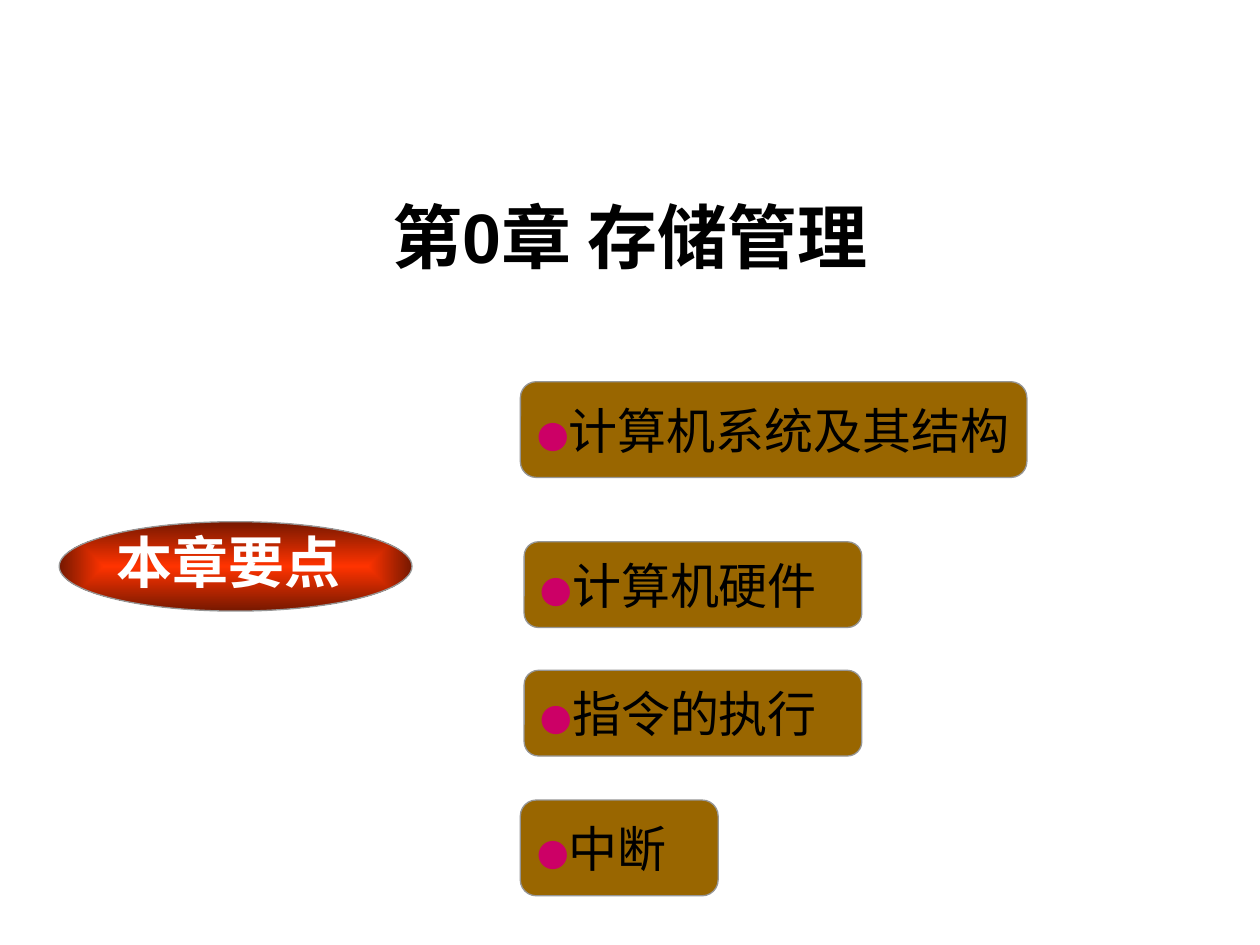
from lxml import etree
from pptx import Presentation
from pptx.dml.color import RGBColor
from pptx.enum.shapes import MSO_SHAPE
from pptx.enum.text import MSO_ANCHOR, PP_ALIGN
from pptx.oxml.ns import qn
from pptx.util import Inches, Pt

OVAL, ROUNDED = MSO_SHAPE.OVAL, MSO_SHAPE.ROUNDED_RECTANGLE
TOP, MIDDLE, BOTTOM = MSO_ANCHOR.TOP, MSO_ANCHOR.MIDDLE, MSO_ANCHOR.BOTTOM
LEFT, CENTER = PP_ALIGN.LEFT, PP_ALIGN.CENTER

# Content: text and box (left, top, width, height)
TITLE = ("第0章 存储管理", (0.75, 1, 8.5, 1.25))
BADGE = ("本章要点", (0.83, 4.14, 2.22, 0.64))
BADGE_OVAL = (0.47, 4.14, 2.8, 0.71)
TOPICS = [
    ("计算机系统及其结构", (4.13, 3.03, 4.02, 0.76)),
    ("计算机硬件", (4.16, 4.3, 2.68, 0.68)),
    ("指令的执行", (4.16, 5.32, 2.68, 0.68)),
    ("中断", (4.13, 6.35, 1.57, 0.76)),
]

THEME = {
    "outline": "969696",
    "topic_fill": "996600",
    "badge_stops": ("FF3300", "761800"),
    "title": {"size": 40, "name": "Arial", "color": "000000", "bold": True},
    "badge": {"size": 32, "name": "Times New Roman", "color": "FFFFFF", "bold": True},
    "dot": {"size": 18, "name": "Times New Roman", "color": "CC0066", "bold": False},
    "topic": {"size": 28, "name": "Times New Roman", "color": "000000", "bold": False},
}


def write(shape, runs, align=LEFT, anchor=TOP, right_inset=0.1):
    frame = shape.text_frame
    layout = {
        "word_wrap": True, "vertical_anchor": anchor,
        "margin_left": Inches(0.1), "margin_right": Inches(right_inset),
        "margin_top": Inches(0.05), "margin_bottom": Inches(0.05),
    }
    for key, value in layout.items():
        setattr(frame, key, value)
    paragraph = frame.paragraphs[0]
    paragraph.alignment = align
    for text, style in runs:
        run = paragraph.add_run()
        run.text = text
        font = {"size": Pt(THEME[style]["size"]), "name": THEME[style]["name"],
                "bold": THEME[style]["bold"]}
        for key, value in font.items():
            setattr(run.font, key, value)
        run.font.color.rgb = RGBColor.from_string(THEME[style]["color"])


def add_outlined(slide, kind, box):
    shape = slide.shapes.add_shape(kind, *map(Inches, box))
    shape.shadow.inherit = False
    shape.line.color.rgb = RGBColor.from_string(THEME["outline"])
    shape.line.width = Pt(0.75)
    return shape


def fill_from_center(shape, colors):
    shape.fill.gradient()
    for stop, color in zip(shape.fill.gradient_stops, colors):
        stop.color.rgb = RGBColor.from_string(color)
    gradient = shape.fill._xPr.find(qn("a:gradFill"))
    gradient.remove(gradient.find(qn("a:lin")))
    center = etree.SubElement(gradient, qn("a:path"), path="rect")
    etree.SubElement(center, qn("a:fillToRect"),
                     {side: "50000" for side in "ltrb"})


def main():
    deck = Presentation()
    deck.slide_width, deck.slide_height = Inches(10), Inches(7.5)
    slide = deck.slides.add_slide(deck.slide_layouts[6])

    # Chapter title
    text, box = TITLE
    title = slide.shapes.add_textbox(*map(Inches, box))
    write(title, [(text, "title")], CENTER, BOTTOM)

    # Key-points badge
    oval = add_outlined(slide, OVAL, BADGE_OVAL)
    fill_from_center(oval, THEME["badge_stops"])
    text, box = BADGE
    badge = slide.shapes.add_textbox(*map(Inches, box))
    write(badge, [(text, "badge")])

    # Topics
    for text, box in TOPICS:
        topic = add_outlined(slide, ROUNDED, box)
        topic.fill.solid()
        topic.fill.fore_color.rgb = RGBColor.from_string(THEME["topic_fill"])
        write(topic, [("●", "dot"), (text, "topic")], anchor=MIDDLE, right_inset=0)

    deck.save("out.pptx")


if __name__ == "__main__":
    main()
